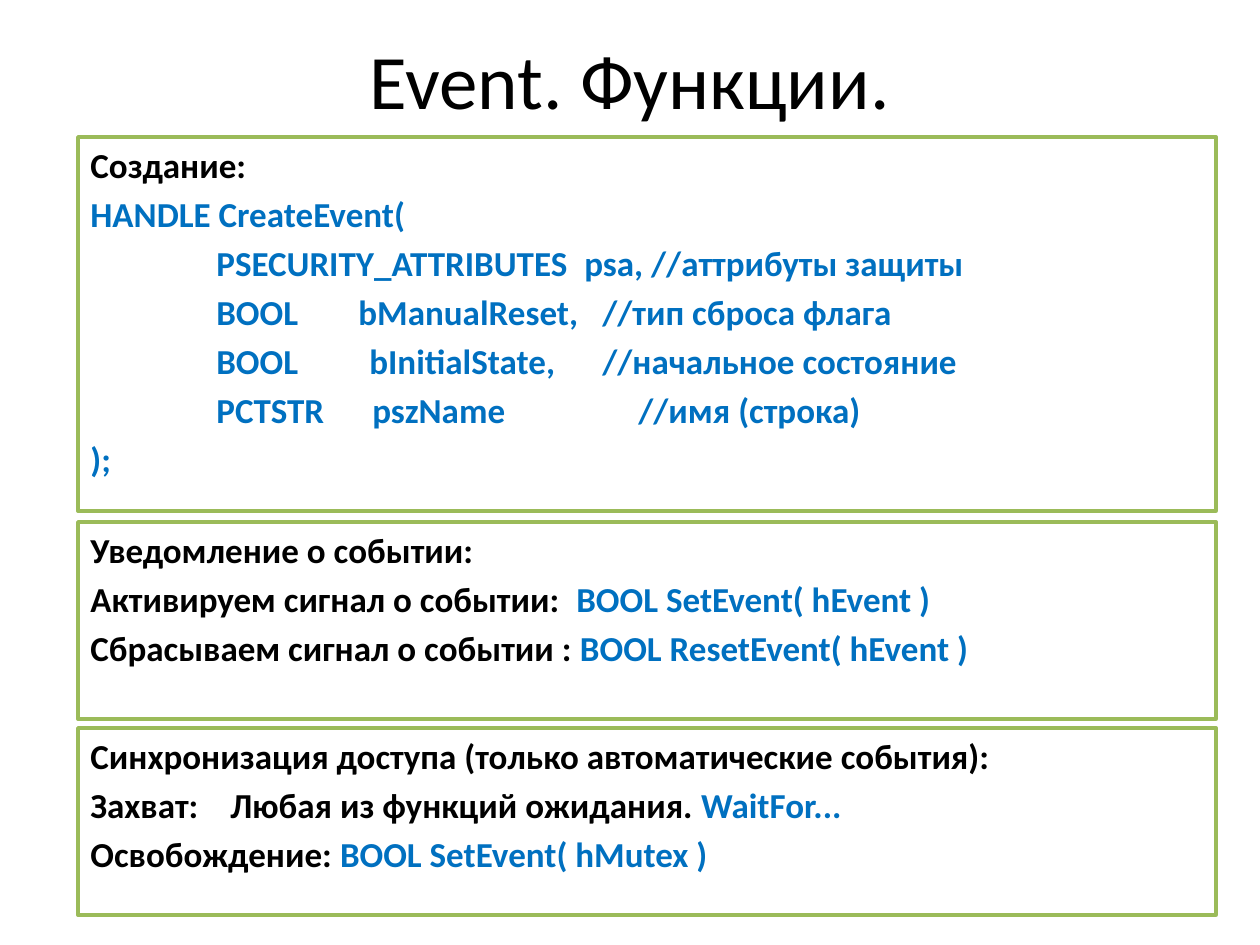
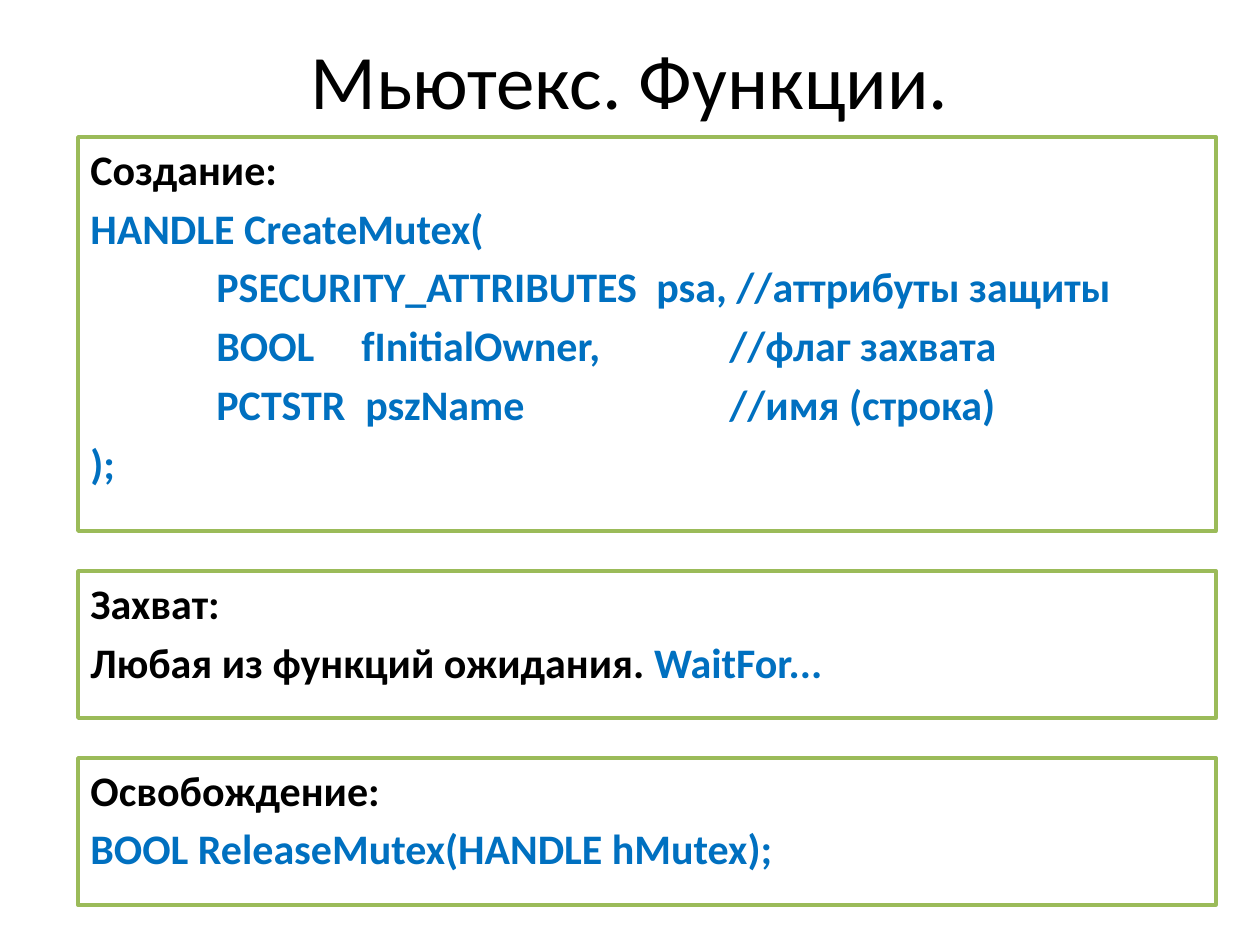
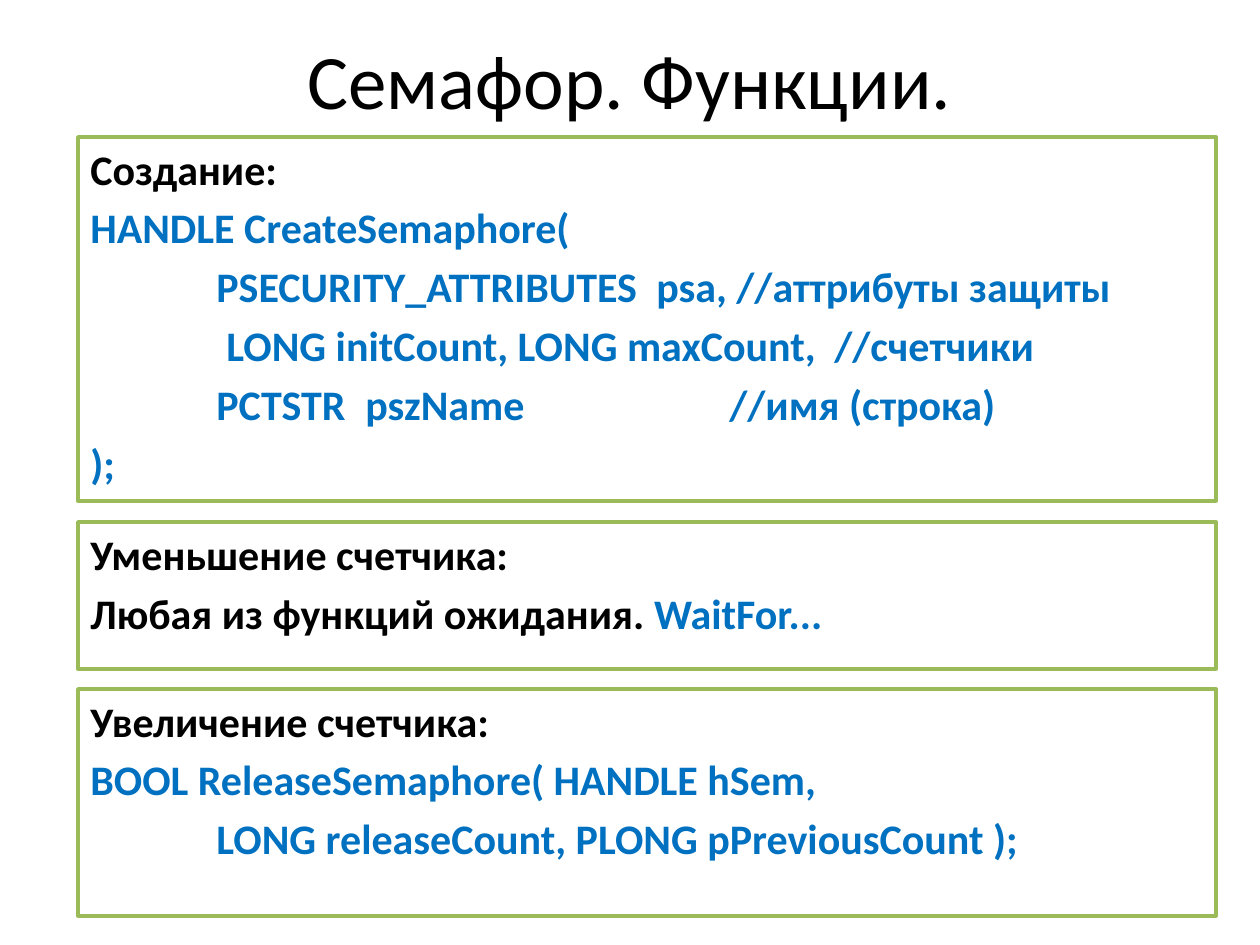
from dataclasses import dataclass

from pptx import Presentation
from pptx.dml.color import RGBColor
from pptx.enum.shapes import MSO_SHAPE
from pptx.enum.text import MSO_ANCHOR, PP_ALIGN
from pptx.oxml import parse_xml
from pptx.oxml.ns import nsdecls
from pptx.util import Emu, Pt

RECT = MSO_SHAPE.RECTANGLE
TOP, MIDDLE = MSO_ANCHOR.TOP, MSO_ANCHOR.MIDDLE
LEFT, CENTER = PP_ALIGN.LEFT, PP_ALIGN.CENTER

PX_PER_INCH = 126
SLIDE_W, SLIDE_H = 1260, 945
BOX_LEFT, BOX_WIDTH = 78, 1138
FIRST_TOP = 137
INDENT = 126


@dataclass(frozen=True)
class Theme:
    font: str = "Calibri"
    text: RGBColor = RGBColor(0x00, 0x00, 0x00)
    code: RGBColor = RGBColor(0x00, 0x70, 0xC0)
    border: RGBColor = RGBColor(0x9B, 0xBB, 0x59)
    paper: RGBColor = RGBColor(0xFF, 0xFF, 0xFF)
    title_size: int = 44
    border_width: int = 2
    space_before: int = 20  # percent of a line


THEME = Theme()


@dataclass(frozen=True)
class Line:
    """Black words, then blue code; tabs are px from the text's left edge."""
    words: str = ""
    code: str = ""
    tabs: tuple[int, ...] = ()


@dataclass(frozen=True)
class Box:
    top: int
    height: int
    lines: tuple[Line, ...]


@dataclass(frozen=True)
class FunctionSlide:
    title: str
    size: int
    boxes: tuple[Box, ...]


def px(n: int) -> Emu:
    return Emu(round(n * 914400 / PX_PER_INCH))


def parameter(code: str, *tabs: int) -> Line:
    """An indented code line, with further columns at the given tabs."""
    return Line(code="\t" + code, tabs=(INDENT, *tabs))


def creation(function: str, *parameters: Line) -> tuple[Line, ...]:
    return (Line("Создание:"), Line(code=f"HANDLE {function}("),
            *parameters, Line(code=");"))


SECURITY = "PSECURITY_ATTRIBUTES\tpsa, //аттрибуты защиты"
NAME = "PCTSTR\tpszName\t//имя (строка)"
SECURITY_24 = parameter(SECURITY, 566)
NAME_24 = parameter(NAME, 275, 639)
WAIT = Line("Любая из функций ожидания. ", "WaitFor...")

SLIDES = (
    FunctionSlide("Event. Функции.", 20, (
        Box(FIRST_TOP, 374, creation(
            "CreateEvent",
            parameter(SECURITY, 494),
            parameter("BOOL\tbManualReset,\t//тип сброса флага", 268, 512),
            parameter("BOOL\tbInitialState,\t//начальное состояние", 279, 512),
            parameter(NAME, 282, 548))),
        Box(522, 197, (
            Line("Уведомление о событии:"),
            Line("Активируем сигнал о событии:\t", "BOOL SetEvent( hEvent )", (486,)),
            Line("Сбрасываем сигнал о событии : ", "BOOL ResetEvent( hEvent )"))),
        Box(728, 187, (
            Line("Синхронизация доступа (только автоматические события):"),
            Line("Захват:\t" + WAIT.words, WAIT.code, (140,)),
            Line("Освобождение: ", "BOOL SetEvent( hMutex )"))),
    )),
    FunctionSlide("Мьютекс. Функции.", 24, (
        Box(FIRST_TOP, 394, creation(
            "CreateMutex",
            SECURITY_24,
            parameter("BOOL\tfInitialOwner,\t//флаг захвата", 271, 639),
            NAME_24)),
        Box(571, 147, (Line("Захват:"), WAIT)),
        Box(758, 147, (
            Line("Освобождение:"),
            Line(code="BOOL ReleaseMutex(HANDLE hMutex);"))),
    )),
    FunctionSlide("Семафор. Функции.", 24, (
        Box(FIRST_TOP, 364, creation(
            "CreateSemaphore",
            SECURITY_24,
            Line(code="\tLONG initCount, LONG maxCount,\t//счетчики", tabs=(136, 744)),
            NAME_24)),
        Box(522, 147, (Line("Уменьшение счетчика:"), WAIT)),
        Box(689, 227, (
            Line("Увеличение счетчика:"),
            Line(code="BOOL ReleaseSemaphore( HANDLE hSem,"),
            parameter("LONG releaseCount, PLONG pPreviousCount );"))),
    )),
)


def add_run(p, text: str, size: int, color: RGBColor, bold: bool) -> None:
    r = p.add_run()
    r.text = text
    r.font.name = THEME.font
    r.font.size = Pt(size)
    r.font.bold = bold
    r.font.color.rgb = color


def set_spacing_and_tabs(p, tabs: tuple[int, ...]) -> None:
    pPr = p._p.get_or_add_pPr()
    pPr.append(parse_xml(
        f'<a:spcBef {nsdecls("a")}>'
        f'<a:spcPct val="{THEME.space_before * 1000}"/></a:spcBef>'))
    if tabs:
        stops = "".join(f'<a:tab pos="{px(t)}" algn="l"/>' for t in tabs)
        pPr.append(parse_xml(f'<a:tabLst {nsdecls("a")}>{stops}</a:tabLst>'))


def add_title(slide, title: str) -> None:
    tf = slide.shapes.add_textbox(px(63), px(38), px(1134), px(81)).text_frame
    tf.word_wrap = True
    tf.vertical_anchor = MIDDLE
    p = tf.paragraphs[0]
    p.alignment = CENTER
    add_run(p, title, THEME.title_size, THEME.text, False)


def add_box(slide, box: Box, size: int) -> None:
    sp = slide.shapes.add_shape(RECT, px(BOX_LEFT), px(box.top),
                                px(BOX_WIDTH), px(box.height))
    sp.shadow.inherit = False
    sp.fill.solid()
    sp.fill.fore_color.rgb = THEME.paper
    sp.line.color.rgb = THEME.border
    sp.line.width = Pt(THEME.border_width)
    tf = sp.text_frame
    tf.word_wrap = True
    tf.vertical_anchor = TOP
    for i, line in enumerate(box.lines):
        p = tf.add_paragraph() if i else tf.paragraphs[0]
        p.alignment = LEFT
        set_spacing_and_tabs(p, line.tabs)
        for text, color in ((line.words, THEME.text), (line.code, THEME.code)):
            if text:
                add_run(p, text, size, color, True)


def main() -> None:
    prs = Presentation()
    prs.slide_width, prs.slide_height = px(SLIDE_W), px(SLIDE_H)
    blank = prs.slide_layouts[6]
    for content in SLIDES:
        s = prs.slides.add_slide(blank)
        add_title(s, content.title)
        for box in content.boxes:
            add_box(s, box, content.size)
    prs.save("out.pptx")


if __name__ == "__main__":
    main()
